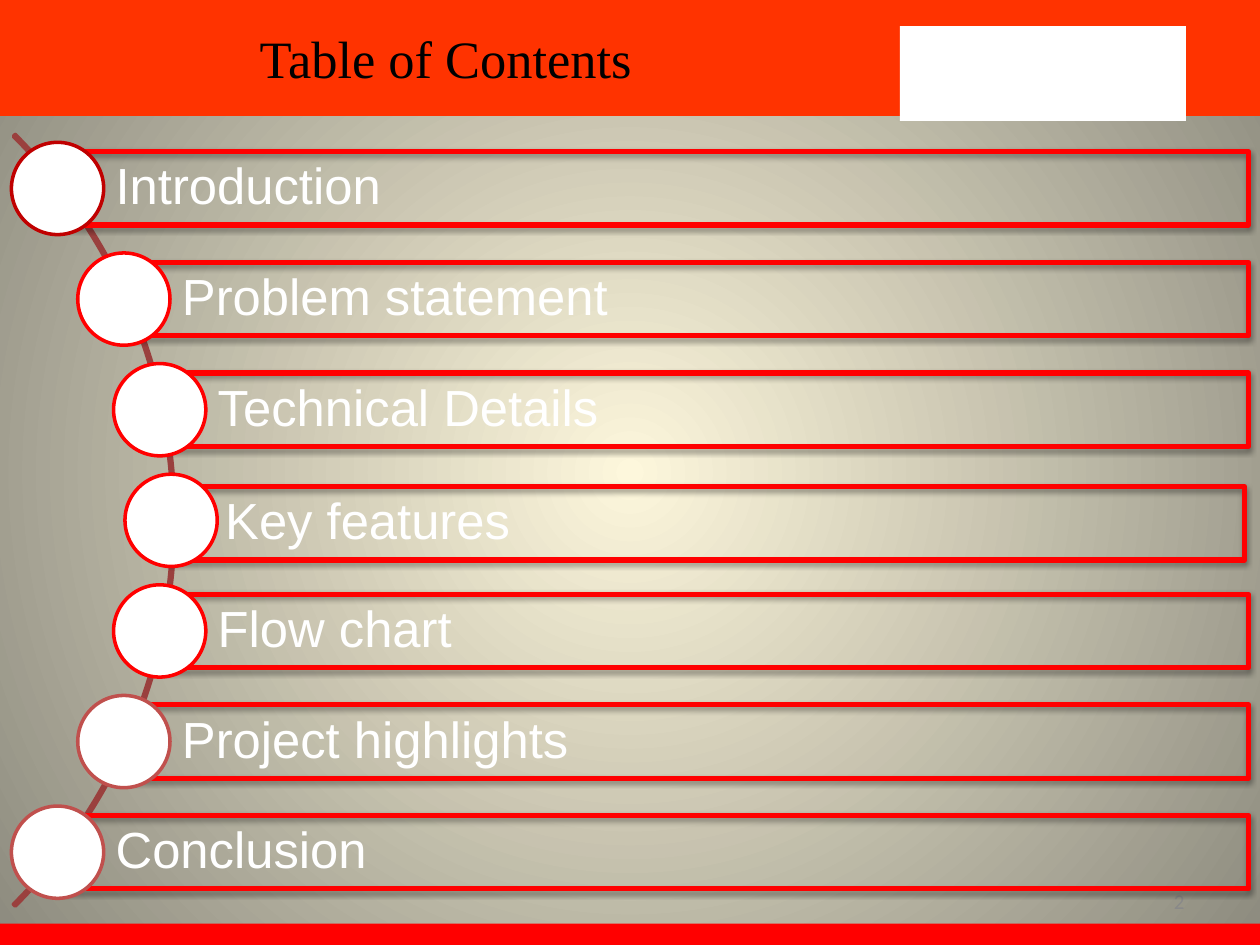
from math import sqrt

from lxml import etree
from pptx import Presentation
from pptx.dml.color import RGBColor
from pptx.enum.shapes import MSO_SHAPE
from pptx.enum.text import MSO_ANCHOR, PP_ALIGN
from pptx.oxml.ns import qn
from pptx.util import Cm, Pt

RECTANGLE = MSO_SHAPE.RECTANGLE
OVAL = MSO_SHAPE.OVAL
BLOCK_ARC = MSO_SHAPE.BLOCK_ARC
MIDDLE = MSO_ANCHOR.MIDDLE
LEFT, CENTER, RIGHT = PP_ALIGN.LEFT, PP_ALIGN.CENTER, PP_ALIGN.RIGHT

TITLE = "Table of Contents"
PAGE_NUMBER = "2"
TOPICS = [
    ("Introduction", "C00000", 0, 0),
    ("Problem statement", "FF0000", 0, 0),
    ("Technical Details", "FF0000", 0, 0),
    ("Key features", "FF0000", -0.08, 0.06),
    ("Flow chart", "FF0000", 0, 0),
    ("Project highlights", "C0504D", 0, 0),
    ("Conclusion", "C0504D", 0, 0),
]
BANDS = [
    ((0, 0, 25.4, 2.34), "FF3300"),
    ((0, 18.62, 25.4, 0.56), "FF0000"),
    ((18.14, 0.53, 5.77, 1.91), "FFFFFF"),
]
BACKGROUND = ["FDF7DC", "8C8A7E"]

ARC_LEFT, ARC_TOP, ARC_SIZE = -18.47, -0.51, 22
ARC_X, ARC_Y = ARC_LEFT + ARC_SIZE / 2, ARC_TOP + ARC_SIZE / 2
RADIUS = 10.92
PITCH = 2.23
DOT = 1.86
BAR_HEIGHT = 1.48
BAR_RIGHT = 25.17


def color(value):
    return RGBColor.from_string(value)


def lengths(place):
    return [Cm(value) for value in place]


def add_shape(page, kind, place, fill=None, line=None, width=2):
    shape = page.shapes.add_shape(kind, *lengths(place))
    shape.shadow.inherit = False
    if fill:
        shape.fill.solid()
        shape.fill.fore_color.rgb = color(fill)
    else:
        shape.fill.background()
    if line:
        shape.line.color.rgb = color(line)
        shape.line.width = Pt(width)
    else:
        shape.line.fill.background()
    return shape


def add_text(page, text, place, font, size, ink, align, insets=(0.25, 0.13, 0.25, 0.13)):
    box = page.shapes.add_textbox(*lengths(place))
    frame = box.text_frame
    frame.word_wrap = True
    frame.vertical_anchor = MIDDLE
    frame.margin_left, frame.margin_top, frame.margin_right, frame.margin_bottom = lengths(insets)
    frame.text = text
    para = frame.paragraphs[0]
    para.alignment = align
    span = para.runs[0]
    span.font.name = font
    span.font.size = Pt(size)
    span.font.color.rgb = color(ink)
    return para


def add_shadow(shape):
    effects = shape._element.spPr.find(qn("a:effectLst"))
    shadow = etree.SubElement(effects, qn("a:outerShdw"), blurRad=str(Pt(3.1)),
                              dist=str(Pt(1.6)), dir="5400000", rotWithShape="0")
    tint = etree.SubElement(shadow, qn("a:srgbClr"), val="000000")
    etree.SubElement(tint, qn("a:alpha"), val="38000")


def paint_background(page):
    fill = page.background.fill
    fill.gradient()
    for stop, value in zip(fill.gradient_stops, BACKGROUND):
        stop.color.rgb = color(value)
    linear = next(page._element.iter(qn("a:lin")))
    gradient = linear.getparent()
    circle = etree.Element(qn("a:path"), attrib={"path": "circle"})
    etree.SubElement(circle, qn("a:fillToRect"), l="50000", t="50000", r="50000", b="50000")
    gradient.replace(linear, circle)


def add_topic(page, index, text, ring, shift_x, shift_y):
    y = ARC_Y + (index - (len(TOPICS) - 1) / 2) * PITCH
    x = ARC_X + sqrt(RADIUS ** 2 - (y - ARC_Y) ** 2)
    place = (x + shift_x, y - BAR_HEIGHT / 2 + shift_y, BAR_RIGHT - x, BAR_HEIGHT)
    add_shadow(add_shape(page, RECTANGLE, place, line="FF0000", width=3))
    para = add_text(page, text, place, "Arial", 29, "FFFFFF", LEFT, (1.17, 0.2, 0.2, 0.2))
    para.line_spacing = 0.9
    add_shape(page, OVAL, (x - DOT / 2, y - DOT / 2, DOT, DOT), "FFFFFF", ring)


def main():
    deck = Presentation()
    deck.slide_width, deck.slide_height = Cm(25.4), Cm(19.05)
    page = deck.slides.add_slide(deck.slide_layouts[6])
    paint_background(page)
    for place, fill in BANDS:
        add_shape(page, RECTANGLE, place, fill)
    add_text(page, TITLE, (0, 0, 17.98, 2.34), "Times New Roman", 30, "000000", CENTER)
    add_text(page, PAGE_NUMBER, (18.21, 17.65, 5.92, 1.02), "Calibri", 12, "898989", RIGHT)
    arc = add_shape(page, BLOCK_ARC, (ARC_LEFT, ARC_TOP, ARC_SIZE, ARC_SIZE), line="9A403E")
    for index, value in enumerate((189, 27, 0.0025)):
        arc.adjustments[index] = value
    for index, topic in enumerate(TOPICS):
        add_topic(page, index, *topic)
    deck.save("out.pptx")


if __name__ == "__main__":
    main()
